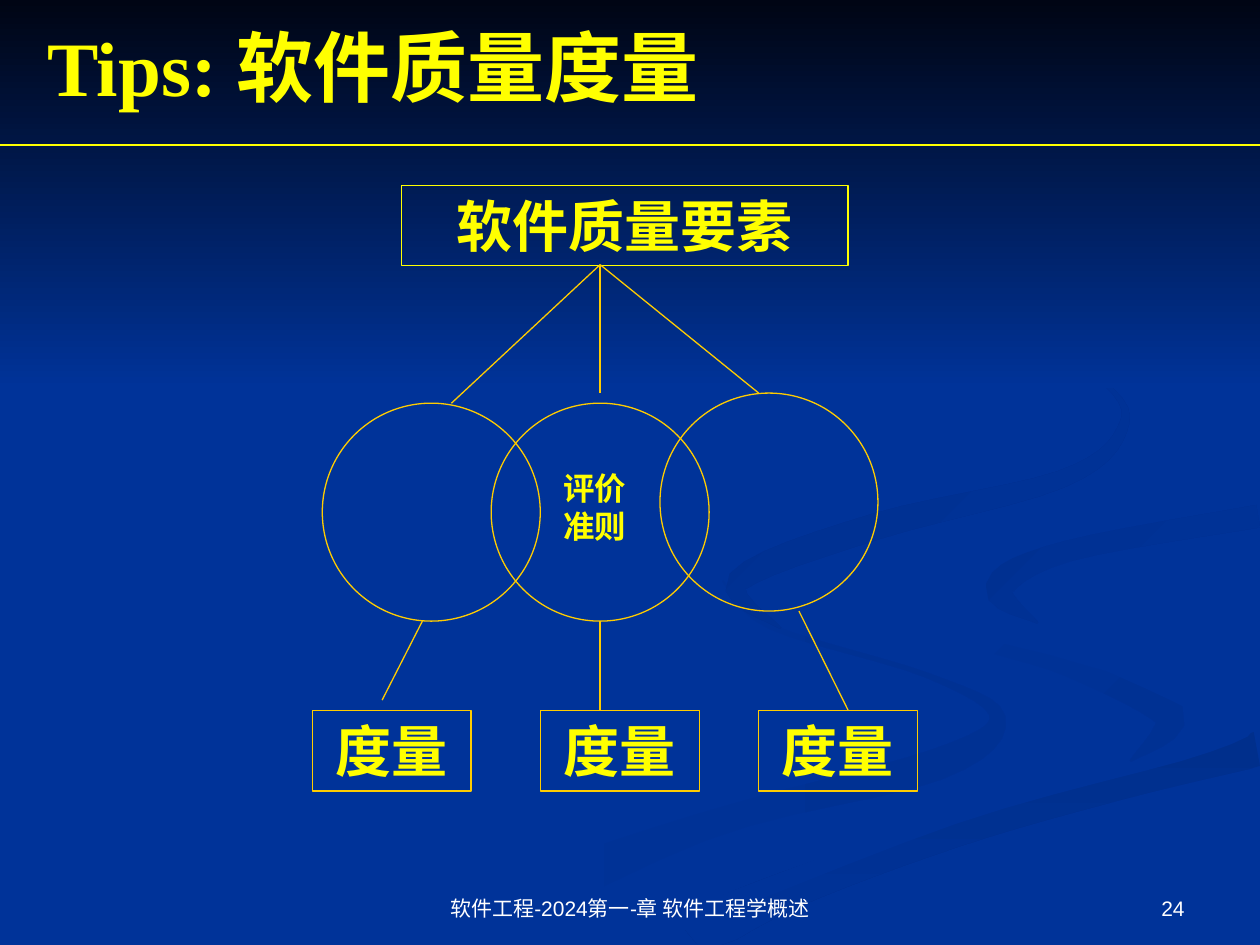
from math import hypot
from lxml.etree import SubElement
from pptx import Presentation
from pptx.dml.color import RGBColor
from pptx.enum.shapes import MSO_CONNECTOR, MSO_SHAPE
from pptx.enum.text import MSO_ANCHOR, PP_ALIGN
from pptx.oxml.ns import qn
from pptx.util import Pt

HUES = {
    "base": "003399", "night": "000514", "dusk": "003193", "deep": "002F8C",
    "shade": "003091", "dim": "002F8E", "text": "FFFF00", "gold": "FFCC00", "white": "FFFFFF",
}
SERIF, SANS = "Times New Roman", "Arial"
STEPS = 6

SWIRLS = {
    "tail": ("base", "dusk", 0, [(413, 332, 1), (440, 358, 3), (530, 386, 3), (570, 410, 9),
                                 (535, 437, 18), (400, 473, 16), (238, 539, 40)]),
    "hook": ("base", "dusk", 45, [(522, 336, 1), (552, 364, 6), (610, 382, 9),
                                  (668, 408, 18), (646, 435, 1)]),
    "sweep": ("deep", "base", 90, [(392, 537, 30), (450, 509, 22), (546, 475, 18),
                                   (640, 449, 16), (719, 428, 20)]),
    "band": ("base", "base", 0, [(719, 284, 10), (600, 306, 8), (543, 330, 38), (610, 360, 26),
                                 (699, 396, 36), (690, 426, 8), (545, 467, 8), (362, 537, 12)]),
    "crest": ("shade", "base", 45, [(593, 356, 1), (571, 336, 16), (610, 315, 12),
                                    (719, 295, 13)]),
    "ribbon": ("dim", "base", 45, [(550, 168, 1), (630, 218, 2), (641, 246, 6), (606, 274, 10),
                                   (500, 301, 15), (422, 332, 13), (446, 359, 1)]),
}


def hue(name):
    """Return the colour that has this name."""
    return RGBColor.from_string(HUES[name])


def blend(a, b, c, d, t):
    """Return the Catmull-Rom value between b and c."""
    return b + t / 2 * (c - a + t * (2 * a - 5 * b + 4 * c - d + t * (3 * (b - c) + d - a)))


def smooth(knots):
    """Return a smooth run of (x, y, width) through the knots."""
    ends = [knots[0], *knots, knots[-1]]
    return [tuple(blend(*axis, i / STEPS) for axis in zip(*ends[k:k + 4]))
            for k in range(len(knots) - 1) for i in range(STEPS)] + [knots[-1]]


def edges(knots, box):
    """Return the outline of a ribbon of varying width, kept inside the box."""
    left, top, width, height = box
    path = smooth(knots)
    sides = [], []
    for i, (x, y, wide) in enumerate(path):
        back, ahead = path[max(i - 1, 0)], path[min(i + 1, len(path) - 1)]
        dx, dy = ahead[0] - back[0], ahead[1] - back[1]
        reach = wide / 2 / hypot(dx, dy)
        for side, sign in zip(sides, (1, -1)):
            px = min(max(x - sign * reach * dy, 0), width)
            py = min(max(y + sign * reach * dx, 0), height)
            side.append((Pt(left + px), Pt(top + py)))
    return sides[0] + sides[1][::-1]


def shade(shape, start, end, turn):
    """Fill a shape with a clockwise-turned blend and no outline."""
    shape.shadow.inherit = False
    shape.line.fill.background()
    shape.fill.gradient()
    shape.fill.gradient_angle = -turn % 360
    for stop, name in zip(shape.fill.gradient_stops, (start, end)):
        stop.color.rgb = hue(name)


def write(shape, text, size, font=SERIF, tint="text", align=PP_ALIGN.CENTER,
          anchor=MSO_ANCHOR.TOP, bold=True):
    """Write one styled run into a shape."""
    frame = shape.text_frame
    frame.word_wrap = True
    frame.vertical_anchor = anchor
    para = frame.paragraphs[0]
    para.alignment = align
    run = para.add_run()
    run.text = text
    run.font.name = font
    run.font.size = Pt(size)
    run.font.bold = bold
    run.font.color.rgb = hue(tint)


def label(slide, box, text, size, **style):
    """Add a text box."""
    write(slide.shapes.add_textbox(*map(Pt, box)), text, size, **style)


def outline(slide, kind, box, tint="gold"):
    """Add a hollow shape with a thin line."""
    shape = slide.shapes.add_shape(kind, *map(Pt, box))
    shape.shadow.inherit = False
    shape.fill.background()
    shape.line.color.rgb = hue(tint)
    shape.line.width = Pt(0.75)
    return shape


def link(slide, start, end, tint="gold"):
    """Join two points with a thin line."""
    line = slide.shapes.add_connector(MSO_CONNECTOR.STRAIGHT, *map(Pt, (*start, *end)))
    line.line.color.rgb = hue(tint)
    line.line.width = Pt(0.75)
    SubElement(line._element.spPr, qn("a:effectLst"))


def backdrop(slide, box):
    """Draw the swirls and the dark band at the top."""
    left, top, width, _ = box
    slide.background.fill.solid()
    slide.background.fill.fore_color.rgb = hue("base")
    for start, end, turn, knots in SWIRLS.values():
        first, *rest = edges(knots, box)
        pen = slide.shapes.build_freeform(*first)
        pen.add_line_segments(rest, close=True)
        shade(pen.convert_to_shape(), start, end, turn)
    sky = slide.shapes.add_shape(MSO_SHAPE.RECTANGLE, *map(Pt, (left, top, width, 222)))
    shade(sky, "night", "base", 90)


def header(slide, box):
    """Place the title over its rule."""
    left, top, width, height = box
    label(slide, (left + 19.8, top + 9.36, 648, 56.88), "Tips: 软件质量度量", 44,
          align=PP_ALIGN.LEFT, anchor=MSO_ANCHOR.MIDDLE)
    link(slide, (left, top + height), (left + width, top + height), "text")


def footer(slide, box):
    """Place the page number and the course name."""
    left, top, _, height = box
    parts = [(516, 168, "24", PP_ALIGN.RIGHT),
             (246, 228, "软件工程-2024第一-章 软件工程学概述", PP_ALIGN.CENTER)]
    for shift, width, text, align in parts:
        label(slide, (left + shift, top, width, height), text, 12, font=SANS, tint="white",
              align=align, anchor=MSO_ANCHOR.BOTTOM, bold=False)


def diagram(slide, box):
    """Draw the tree from quality factor through criteria to metrics."""
    left, top, width, height = box
    size, step, tall, wide = 124.56, 96.48, 46, 90.72
    rise, drop = top + 118.8, top + 124.56
    mid = left + 164.4
    floor = top + height - tall
    root = outline(slide, MSO_SHAPE.RECTANGLE, (left + 51, top, 255, tall), "text")
    write(root, "软件质量要素", 32)
    for i, level in enumerate((drop, drop, rise)):
        ring = (mid + (i - 1) * step - size / 2, level, size, size)
        outline(slide, MSO_SHAPE.OVAL, ring)
    label(slide, (mid - 28.2, drop + 34, 51, 50), "评价准则", 18, align=PP_ALIGN.LEFT)
    for shift in (0, 130.4, width - wide):
        leaf = outline(slide, MSO_SHAPE.RECTANGLE, (left + shift, floor, wide, tall))
        write(leaf, "度量", 32)
    for shift, level in ((-85, drop), (0, rise), (90.6, rise)):
        link(slide, (mid, top + 45.4), (mid + shift, level))
    legs = [(-101.6, drop, -124.6, floor - 6), (0, drop, 0, floor), (113.6, rise, 141.8, floor)]
    for start, level, end, foot in legs:
        link(slide, (mid + start, level + size), (mid + end, foot))


def main():
    """Build the slide and save it."""
    deck = Presentation()
    deck.slide_width, deck.slide_height = Pt(720), Pt(540)
    slide = deck.slides.add_slide(deck.slide_layouts[6])
    backdrop(slide, (0, 0, 720, 540))
    footer(slide, (0, 492, 720, 37.4))
    header(slide, (0, 0, 720, 82.8))
    diagram(slide, (178.56, 105.84, 345.6, 346.24))
    deck.save("out.pptx")


if __name__ == "__main__":
    main()
